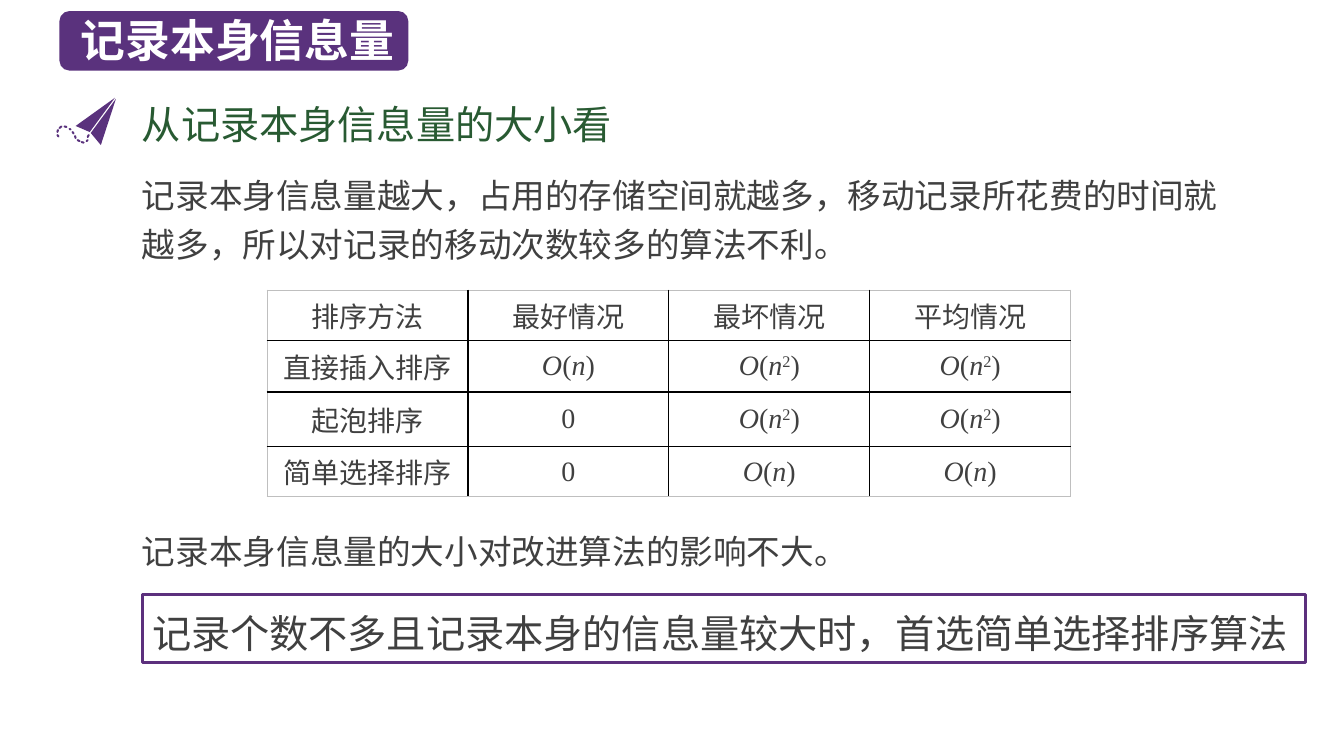
from math import hypot
from pptx import Presentation
from pptx import util as u
from pptx.dml.color import RGBColor
from pptx.enum import shapes, text
from pptx.oxml import parse_xml
from pptx.oxml.ns import nsdecls

HUES = {"plum": "5A327D", "rim": "5C307D", "leaf": "285A32", "ink": "404040",
        "white": "FFFFFF", "black": "000000", "pale": "BFBFBF"}
SANS, SERIF = "Noto Sans CJK SC", "Times New Roman"
WIDE, HIGH = 13.33, 7.5

PLANE = [[(59, 1), (44, 47), (34, 35)], [(58, 0), (33, 34), (19, 28)]]
TRAIL = [(32, 37, 31, 39), (31, 42, 30, 43), (27, 44.5, 25, 44),
         (23, 43, 21, 42), (19, 40, 18.5, 38), (17, 35.5, 16, 34),
         (14, 31.5, 13, 31), (10, 29, 8, 28.5), (5, 28.5, 3, 30),
         (2, 38.5, 1, 37), (1.5, 32, 1, 34)]

ROWS = [["排序方法", "最好情况", "最坏情况", "平均情况"],
        ["直接插入排序", "O(n)", "O(n2)", "O(n2)"],
        ["起泡排序", "0", "O(n2)", "O(n2)"],
        ["简单选择排序", "0", "O(n)", "O(n)"]]
TALL = [0.5, 0.51, 0.54, 0.5]


def rgb(hue):
    return RGBColor.from_string(HUES[hue])


def inch(*nums):
    return [u.Inches(n) for n in nums]


def add_run(para, words, size, hue, face=SERIF, bold=False):
    run = para.add_run()
    run.text = words
    font = run.font
    font.size, font.name, font.bold = u.Pt(size), face, bold
    font.color.rgb = rgb(hue)
    font._element.append(parse_xml(f'<a:ea {nsdecls("a")} typeface="{SANS}"/>'))
    return font


def write(shape, words, size, hue, face=SERIF, bold=False,
          anchor=text.MSO_ANCHOR.TOP, pitch=1.2):
    frame = shape.text_frame
    frame.word_wrap = True
    frame.auto_size = text.MSO_AUTO_SIZE.NONE
    frame.vertical_anchor = anchor
    frame.margin_left, frame.margin_right = inch(0.1, 0.1)
    frame.margin_top, frame.margin_bottom = inch(0.05, 0.05)
    para = frame.paragraphs[0]
    para.alignment = text.PP_ALIGN.LEFT
    para.line_spacing = pitch
    add_run(para, words, size, hue, face, bold)


def add_head(slide, box):
    x, y, w, h = box
    pill = slide.shapes.add_shape(
        shapes.MSO_SHAPE.ROUNDED_RECTANGLE, *inch(x, y, w, h))
    pill.shadow.inherit = False
    pill.fill.solid()
    pill.fill.fore_color.rgb = rgb("plum")
    pill.line.fill.background()
    title = slide.shapes.title
    slide.shapes._spTree.append(title._element)
    title.left, title.top, title.width, title.height = inch(
        x + 0.11, y - 0.04, w - 0.04, h + 0.05)
    write(title, "记录本身信息量", 32, "white", SANS, True,
          text.MSO_ANCHOR.MIDDLE, 1.0)


def add_form(group, box, points):
    spots = [inch(box[0] + px / 100, box[1] + py / 100) for px, py in points]
    pen = group.shapes.build_freeform(*spots[0])
    pen.add_line_segments(spots[1:], close=True)
    form = pen.convert_to_shape()
    form.shadow.inherit = False
    form.fill.solid()
    form.fill.fore_color.rgb = rgb("plum")
    form.line.fill.background()


def get_dash(ax, ay, bx, by):
    far = hypot(bx - ax, by - ay)
    dx, dy = (bx - ax) / far, (by - ay) / far
    return [(ax - dx, ay - dy), (ax - dy, ay + dx), (bx - dy, by + dx),
            (bx + dx, by + dy), (bx + dy, by - dx), (ax + dy, ay - dx)]


def add_lead(slide, box):
    x, y, w, h = box
    group = slide.shapes.add_group_shape()
    for points in PLANE + [get_dash(*ends) for ends in TRAIL]:
        add_form(group, (x, y + 0.03), points)
    label = group.shapes.add_textbox(*inch(x + 0.75, y, w - 0.75, h))
    write(label, "从记录本身信息量的大小看", 28, "leaf", SANS,
          anchor=text.MSO_ANCHOR.MIDDLE, pitch=1.0)


def add_note(slide, box, words):
    write(slide.shapes.add_textbox(*inch(*box)), words, 24, "ink")


def add_sum(slide, box):
    frame = slide.shapes.add_shape(shapes.MSO_SHAPE.RECTANGLE, *inch(*box))
    frame.shadow.inherit = False
    frame.fill.background()
    frame.line.color.rgb = rgb("rim")
    frame.line.width = u.Pt(2.25)
    write(frame, "记录个数不多且记录本身的信息量较大时，首选简单选择排序算法",
          28, "ink")


def add_edge(cell, side, hue):
    cell._tc.get_or_add_tcPr().append(parse_xml(
        f'<a:{side} {nsdecls("a")} w="{u.Pt(1)}"><a:solidFill>'
        f'<a:srgbClr val="{HUES[hue]}"/></a:solidFill></a:{side}>'))


def fill_cell(cell, words):
    cell.vertical_anchor = text.MSO_ANCHOR.MIDDLE
    cell.margin_left, cell.margin_right = inch(0.07, 0.07)
    cell.margin_top = cell.margin_bottom = 0
    para = cell.text_frame.paragraphs[0]
    para.alignment = text.PP_ALIGN.CENTER
    for part in words if words.startswith("O(") else [words]:
        font = add_run(para, part, 20, "ink")
        font.italic = part in ("O", "n")
        if part == "2":
            font._element.set("baseline", "30000")


def add_grid(slide, box):
    count = len(ROWS[0])
    grid = slide.shapes.add_table(len(ROWS), count, *inch(*box)).table
    grid.first_row = grid.horz_banding = False
    for col in grid.columns:
        col.width = u.Inches(box[2] / count)
    for r, words in enumerate(ROWS):
        grid.rows[r].height = u.Inches(TALL[r])
        for c, word in enumerate(words):
            cell = grid.cell(r, c)
            fill_cell(cell, word)
            rims = {"lnL": c == 0, "lnR": c == count - 1,
                    "lnT": r == 0, "lnB": r == len(ROWS) - 1}
            for side, outer in rims.items():
                add_edge(cell, side, "pale" if outer else "black")
            cell.fill.background()


def main():
    deck = Presentation()
    deck.slide_width, deck.slide_height = inch(WIDE, HIGH)
    slide = deck.slides.add_slide(deck.slide_layouts[5])
    left = 1.31
    add_head(slide, (0.59, 0.11, 3.46, 0.59))
    add_lead(slide, (0.56, 0.94, 6.65, 0.57))
    add_note(slide, (left, 1.61, 11, 1.07),
             "记录本身信息量越大，占用的存储空间就越多，移动记录所花费的时间就"
             "越多，所以对记录的移动次数较多的算法不利。")
    add_sum(slide, (left + 0.1, 5.9, 11.54, 0.67))
    add_note(slide, (left, 5.14, 11.62, 0.54),
             "记录本身信息量的大小对改进算法的影响不大。")
    add_grid(slide, (2.65, 2.88, 7.97, sum(TALL)))
    deck.save("out.pptx")


if __name__ == "__main__":
    main()
